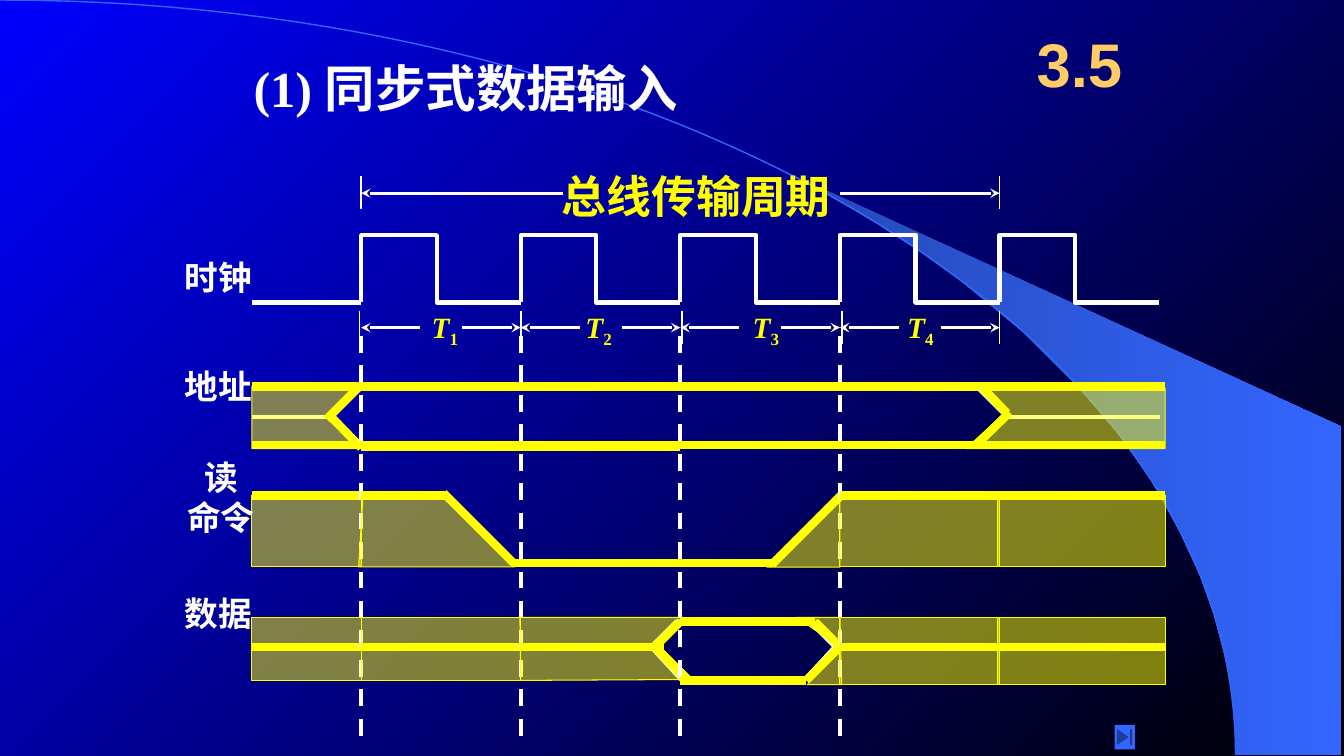
import pptx
import pptx.util
import pptx.dml.color
import pptx.enum.dml
import pptx.enum.shapes
import pptx.enum.text
import pptx.oxml.ns
from lxml import etree

# Grid: one cell is 1/12 inch, so the slide is 160 columns by 90 rows
CELL = 914400 / 12
PERIOD = 19
EDGES = [30, 43, 62, 81, 100, 119, 138.7]
CLOCK_HIGH, CLOCK_LOW = 28, 36
ADDRESS_TOP, ADDRESS_BOTTOM = 46, 53
COMMAND_HIGH, COMMAND_LOW = 59, 67
DATA_TOP, DATA_MIDDLE, DATA_BOTTOM = 74, 77, 81
COLORS = {"white": "FFFFFF", "yellow": "FFFF00", "blue": "3366FF",
          "deep": "2449B6", "start": "0000FF", "end": "000000", "number": "FFCC66"}

# Shaded areas of each interval: rectangles by two corners, other outlines by points
SHADES = [
    [[(30, 59), (43, 67.5)], [(30, 73.5), (43, 81)],
     [(39.5, 50), (42.1, 46.1), (30, 46), (30, 53.4), (42.7, 53.4)]],
    [[(42.7, 67.5), (61.3, 67.5), (53.2, 59), (43.2, 59.3)], [(43, 73.5), (62, 81)]],
    [[(61.9, 73.5), (81.3, 73.5), (78, 77), (81.3, 80.9), (62, 81)]],
    [[(91.3, 67.5), (100, 67.5), (100, 58.5)],
     [(100, 77), (94.8, 73.5), (100, 73.5), (100.2, 81.5), (96.1, 81.5)]],
    [[(100, 59), (119, 67.5)], [(100, 73.5), (119, 81.5)]],
    [[(118.8, 59), (138.8, 67.5)], [(118.8, 73.5), (138.8, 81.5)],
     [(116.8, 46), (138.7, 46.2), (138.7, 53.4), (115, 53.4), (119.8, 49)]],
]
# Slanted signal edges of each interval
SLANTS = [
    [(43, 53.3, 39.1, 49.3), (42.7, 46.1, 38.9, 49.9)],
    [(61.2, 67.1, 52.8, 58.7)],
    [(78, 77, 81, 74), (78, 77, 82, 81)],
    [(100.3, 58.8, 91.9, 67.2), (96, 81, 100, 77), (97, 74, 100, 77)],
    [(120.2, 49.1, 116.3, 52.9), (119.9, 49.2, 117.1, 46.3)],
    [],
]
# Level parts of the command and data signals: interval, row, first and last column
LEVELS = [
    (0, COMMAND_HIGH, 30, 43), (1, COMMAND_HIGH, 43, 53), (2, COMMAND_LOW, 61, 81.6),
    (3, COMMAND_LOW, 81, 92), (4, COMMAND_HIGH, 100, 119), (5, COMMAND_HIGH, 119, 138.7),
    (0, DATA_MIDDLE, 30, 43), (1, DATA_MIDDLE, 43, 62), (2, DATA_MIDDLE, 62, 79),
    (3, DATA_TOP, 81, 97), (3, DATA_BOTTOM, 81, 96),
    (4, DATA_MIDDLE, 100, 119), (5, DATA_MIDDLE, 119, 138.7),
]
SWEEP = [(147.2, 89.8), (159.7, 89.9), (159.7, 50.8), (94.3, 20.8), (99.8, 23.9),
         (104.4, 26.6), (109.6, 30), (114.6, 33.6), (121.9, 39.6), (128.4, 46.1),
         (133.2, 51.7), (137.3, 57.5), (140.5, 63.4), (142.9, 68.6), (144.5, 73.1),
         (146, 78.7), (146.8, 83.5)]


def cells(*values):
    return [pptx.util.Emu(round(value * CELL)) for value in values]


def color(name):
    return pptx.dml.color.RGBColor.from_string(COLORS[name])


def add_xml(parent, tag, **attributes):
    return etree.SubElement(parent, pptx.oxml.ns.qn(tag), **attributes)


def fade(fill, start, end, angle):
    fill.gradient()
    fill.gradient_angle = angle
    for stop, name in zip(fill.gradient_stops, (start, end)):
        stop.color.rgb = color(name)


def add_line(slide, x1, y1, x2, y2, name="white", width=3, dash=False, arrow=None):
    line = slide.shapes.add_connector(pptx.enum.shapes.MSO_CONNECTOR.STRAIGHT,
                                      *cells(x1, y1, x2, y2))
    line.line.color.rgb = color(name)
    line.line.width = pptx.util.Pt(width)
    if dash:
        line.line.dash_style = pptx.enum.dml.MSO_LINE.DASH
    if arrow:
        add_xml(line.line._get_or_add_ln(), "a:" + arrow, type="stealth")
    add_xml(line._element.spPr, "a:effectLst")


def add_outline(slide, points, closed=False, name="white", width=3):
    points = [tuple(cells(*point)) for point in points]
    builder = slide.shapes.build_freeform(*points[0])
    builder.add_line_segments(points[1:], close=closed)
    shape = builder.convert_to_shape()
    shape.shadow.inherit = False
    shape.fill.background()
    shape.line.color.rgb = color(name)
    shape.line.width = pptx.util.Pt(width)
    return shape


def add_shade(slide, points):
    if len(points) == 2:
        (left, top), (right, bottom) = points
        shape = slide.shapes.add_shape(pptx.enum.shapes.MSO_SHAPE.RECTANGLE,
                                       *cells(left, top, right - left, bottom - top))
        shape.shadow.inherit = False
        shape.line.color.rgb = color("yellow")
        shape.line.width = pptx.util.Pt(0.75)
    else:
        shape = add_outline(slide, points, True, "yellow", 0.75)
    shape.fill.solid()
    shape.fill.fore_color.rgb = color("yellow")
    fill = shape._element.spPr.find(pptx.oxml.ns.qn("a:solidFill"))
    add_xml(fill[0], "a:alpha", val="50000")


def add_box(slide, left, top, width, height, margins=(0, 0, 0, 0), wrap=True):
    frame = slide.shapes.add_textbox(*cells(left, top, width, height)).text_frame
    frame.word_wrap = wrap
    (frame.margin_left, frame.margin_top,
     frame.margin_right, frame.margin_bottom) = cells(*margins)
    return frame


def write(paragraph, text, size=24, font="Times New Roman", name="white",
          italic=False, subscript=False, spacing=None):
    run = paragraph.add_run()
    run.text = text
    run.font.size = pptx.util.Pt(size)
    run.font.bold = True
    run.font.italic = italic
    run.font.color.rgb = color(name)
    run.font.name = font
    properties = run.font._element
    add_xml(properties, "a:ea", typeface="Noto Sans CJK SC")
    if subscript:
        properties.set("baseline", "-25000")
    if spacing:
        paragraph.line_spacing = pptx.util.Pt(size * spacing)


def add_label(slide, left, top, text):
    frame = add_box(slide, left, top, 12, 6, (0, 0.6, 1.2, 0.6))
    write(frame.paragraphs[0], text, spacing=1.2)
    return frame


def draw_backdrop(slide):
    fade(slide.background.fill, "start", "end", 315)
    sweep = add_outline(slide, SWEEP, True)
    fade(sweep.fill, "deep", "blue", 0)
    sweep.line.fill.background()
    # Large arc: a cubic curve taken in short steps
    controls = [(0, 0), (81.2, 0), (147.1, 40.2), (147.1, 89.9)]
    steps = [step / 60 for step in range(61)]
    arc = [[sum(weight * control[axis] for weight, control in zip(
        ((1 - t) ** 3, 3 * t * (1 - t) ** 2, 3 * t * t * (1 - t), t ** 3), controls))
        for axis in (0, 1)] for t in steps]
    add_outline(slide, arc, name="blue", width=1)


def draw_clock(slide):
    # Whole bus cycle
    add_line(slide, 43, 23, 67, 23, width=2.25, arrow="headEnd")
    add_line(slide, 100, 23, 119, 23, width=2.25, arrow="tailEnd")
    for x in (43, 119):
        add_line(slide, x, 21, x, 24.9, width=1.25)
    frame = add_box(slide, 66.9, 19.5, 32.4, 6.5, wrap=False)
    write(frame.paragraphs[0], "总线传输周期", size=32, font="Noto Sans CJK SC",
          name="yellow", spacing=1.3)
    # Pulses
    add_line(slide, 43, CLOCK_LOW, 30, CLOCK_LOW)
    for x in EDGES[1:6]:
        add_outline(slide, [(x, CLOCK_LOW), (x, CLOCK_HIGH), (x + 9, CLOCK_HIGH),
                            (x + 9, CLOCK_LOW), (x + PERIOD, CLOCK_LOW)])
    # Period marks
    for x in (42.8, 62, 81.2, 100.2, 119):
        add_line(slide, x, 37, x, 41, width=1.25)
    for number, (x, left) in enumerate(zip(EDGES[1:5], (51.4, 69.7, 89.6, 108)), 1):
        add_line(slide, x, 39, x + 7, 39, width=2.25, arrow="headEnd")
        add_line(slide, x + 12, 39, x + PERIOD, 39, width=2.25, arrow="tailEnd")
        paragraph = add_box(slide, left, 36.8, 3.4, 4.2, wrap=False).paragraphs[0]
        write(paragraph, "T", size=21, name="yellow", italic=True)
        write(paragraph, str(number), size=21, name="yellow", subscript=True)


def draw_signals(slide):
    # White base lines of address and data
    add_outline(slide, [(43, 46), (39.4, 49.6), (43, 53.2), (116.2, 53.2),
                        (119.8, 49.6), (116.2, 46)], True, width=2.5)
    add_line(slide, 40, 49.6, 30, 49.6)
    add_line(slide, 120, 49.6, 138.1, 49.6)
    add_outline(slide, [(77.5, 77), (80.5, 74), (96.4, 74), (99.4, 77),
                        (95.8, 80.9), (81.1, 80.9)], True)
    # Yellow signals, interval by interval, each closed by its dashed clock edge
    for interval, (left, right) in enumerate(zip(EDGES, EDGES[1:])):
        for points in SHADES[interval]:
            add_shade(slide, points)
        for row in (ADDRESS_TOP, ADDRESS_BOTTOM):
            add_line(slide, left, row, right, row, "yellow", 6)
        if interval in (1, 2):
            add_line(slide, left, 53.4, right, 53.4, "yellow")
        for place, row, first, last in LEVELS:
            if place == interval:
                add_line(slide, first, row, last, row, "yellow", 6)
        for ends in SLANTS[interval]:
            add_line(slide, *ends, "yellow", 6)
        if interval < 4:
            add_line(slide, right, 40, right, 89, dash=True)


def draw_texts(slide):
    title = add_box(slide, 29, 5.6, 62, 8.4, (1.2, 0.6, 1.2, 0.6))
    write(title.paragraphs[0], "(1) 同步式数据输入", size=36, spacing=1.3)
    number = add_box(slide, 121, 2, 15, 11, (1.2, 0.6, 1.2, 0.6))
    number.vertical_anchor = pptx.enum.text.MSO_ANCHOR.MIDDLE
    number.paragraphs[0].alignment = pptx.enum.text.PP_ALIGN.CENTER
    write(number.paragraphs[0], "3.5", size=44, font="Arial", name="number")
    for top, text in ((30, "时钟"), (43, "地址"), (70, "数据")):
        add_label(slide, 22, top, text)
    command = add_label(slide, 22.3, 53.8, "读")
    command.paragraphs[0]._p.get_or_add_pPr().set("marL", str(cells(2)[0]))
    write(command.add_paragraph(), "命令", spacing=1.2)


def draw_button(slide):
    button = slide.shapes.add_shape(pptx.enum.shapes.MSO_SHAPE.ACTION_BUTTON_END,
                                    *cells(132.7, 86.3, 2.4, 2.9))
    button.shadow.inherit = False
    button.fill.solid()
    button.fill.fore_color.rgb = color("blue")
    button.line.fill.background()


def main():
    presentation = pptx.Presentation()
    presentation.slide_width, presentation.slide_height = cells(160, 90)
    slide = presentation.slides.add_slide(presentation.slide_layouts[6])
    draw_backdrop(slide)
    draw_clock(slide)
    draw_signals(slide)
    draw_texts(slide)
    draw_button(slide)
    presentation.save("out.pptx")


if __name__ == "__main__":
    main()
